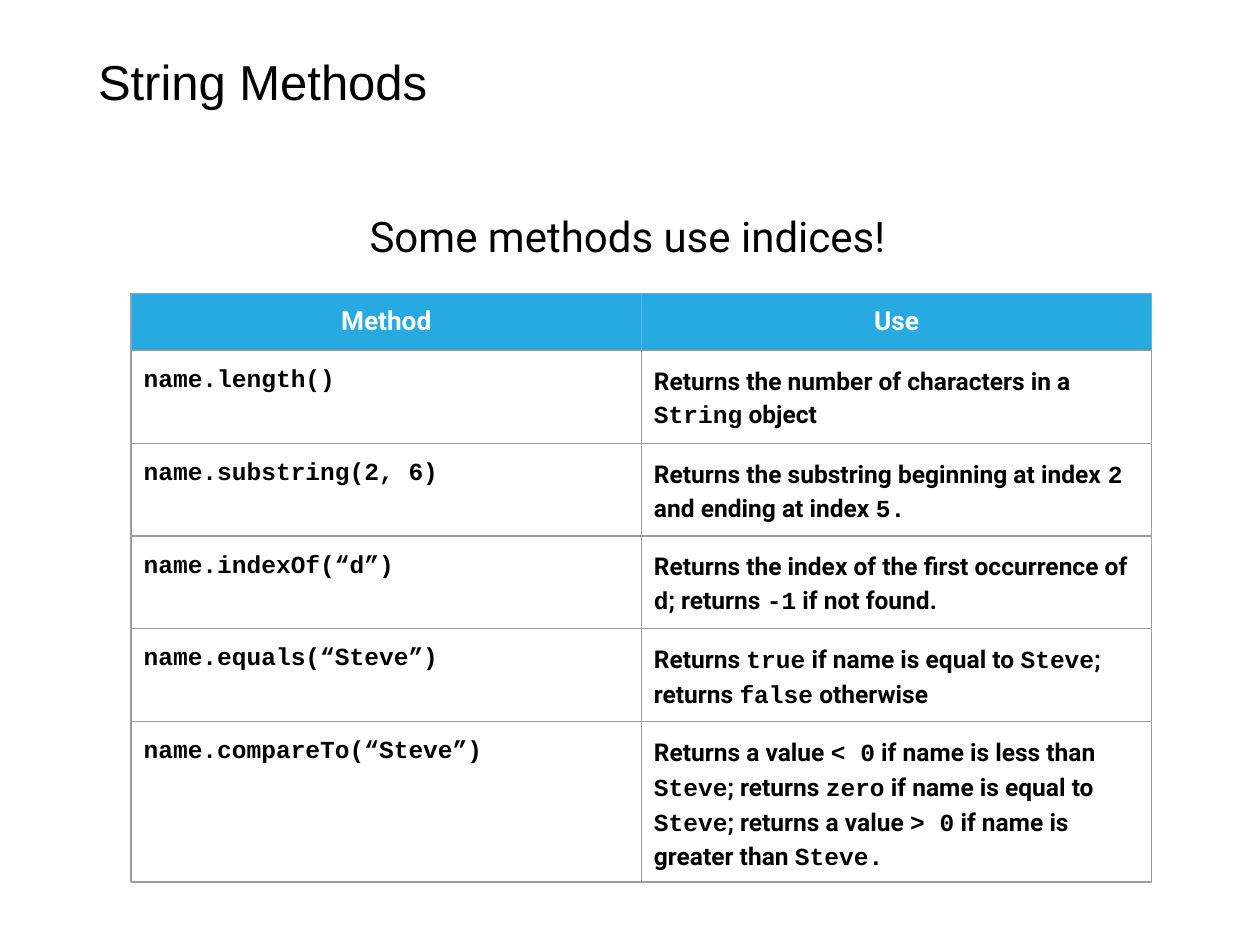
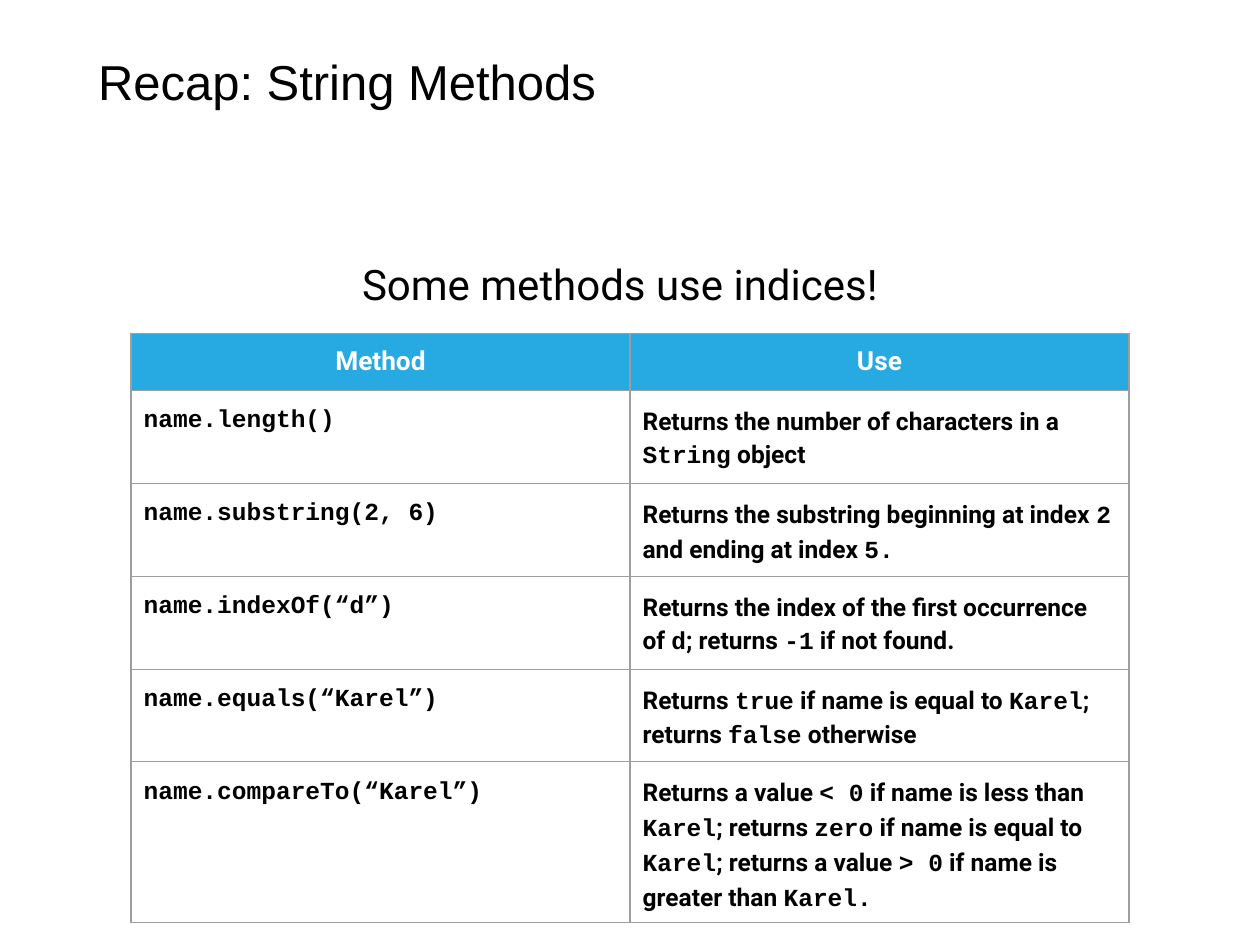
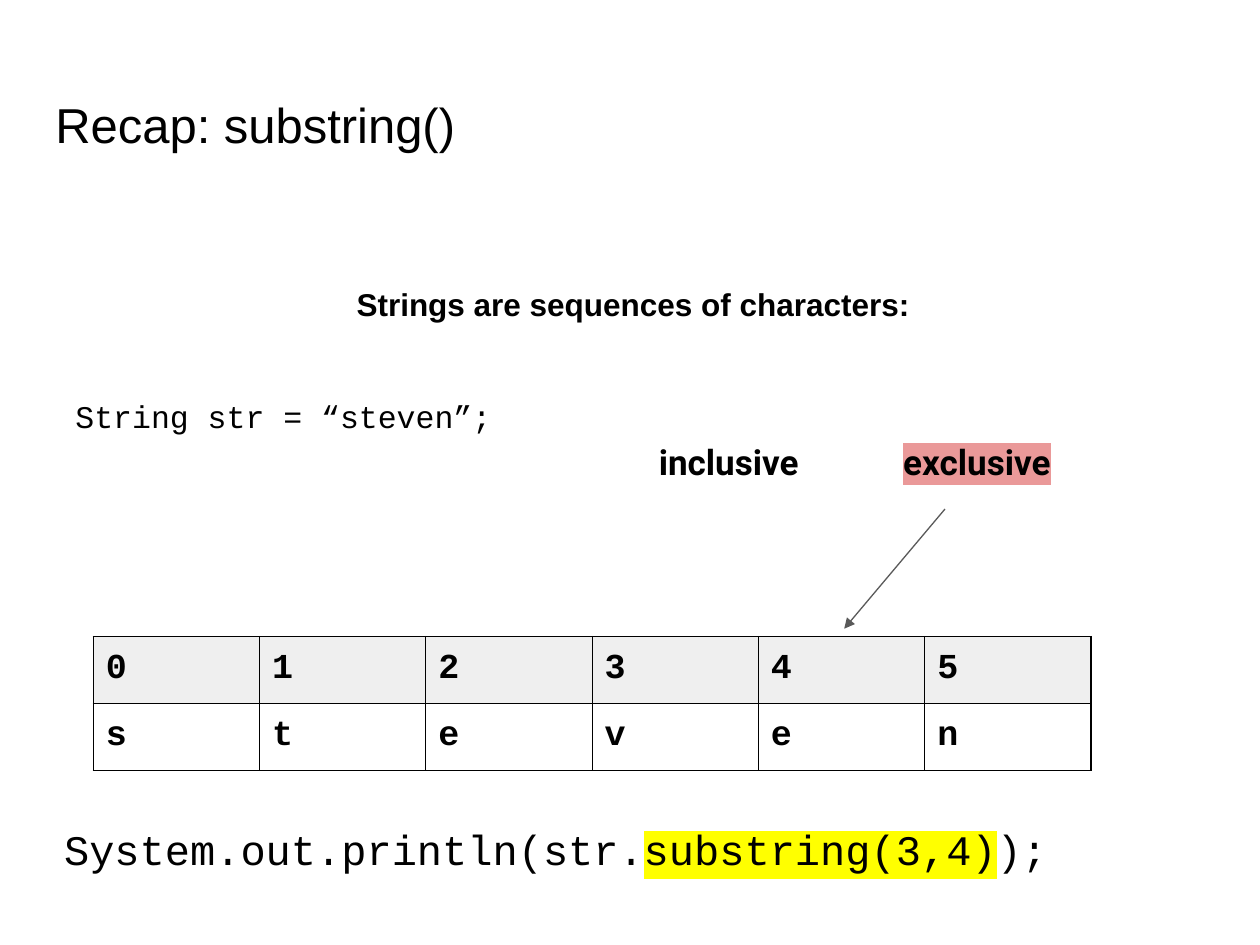
from dataclasses import dataclass

from lxml.etree import SubElement
from pptx import Presentation
from pptx.dml.color import RGBColor
from pptx.enum.shapes import MSO_CONNECTOR as Connector
from pptx.enum.text import MSO_ANCHOR as Anchor, PP_ALIGN as Align
from pptx.oxml.ns import qn
from pptx.util import Pt


@dataclass(frozen=True)
class Theme:
    black: str = "000000"
    white: str = "FFFFFF"
    header: str = "27A9E1"
    index: str = "EFEFEF"
    border: str = "9E9E9E"
    arrow: str = "595959"
    yellow: str = "FFFF00"
    pink: str = "EA9999"
    sans: str = "Arial"
    label: str = "Roboto"
    code: str = "Courier New"
    title_size: int = 28
    large: int = 24
    medium: int = 20
    body: int = 18
    head: int = 15
    cell: int = 14
    leading: float = 1.15
    hairline: float = 0.75


theme = Theme()
presentation = Presentation()
presentation.slide_width, presentation.slide_height = Pt(720), Pt(540)
blank = presentation.slide_layouts[6]
# The slide is a grid of 100 columns by 75 rows
UNIT = presentation.slide_width // 100
INSET = UNIT


def write(frame, text, font, size, color=theme.black, bold=False, align=Align.LEFT,
          leading=None, mark=None, new=False):
    """Write one paragraph; `backticks` set code, [brackets] get the mark colour."""
    frame.word_wrap = True
    frame.margin_left = frame.margin_right = frame.margin_top = frame.margin_bottom = INSET
    paragraph = frame.add_paragraph() if new else frame.paragraphs[0]
    paragraph.alignment, paragraph.line_spacing = align, leading
    paragraph.font.size, paragraph.font.bold = Pt(size), bold
    paragraph.font.color.rgb = RGBColor.from_string(color)
    if "`" not in text:
        paragraph.font.name = font
    parts = text.replace("[", "|").replace("]", "|").split("|") if mark else text.split("`")
    for number, part in enumerate(parts):
        if not part:
            continue
        run = paragraph.add_run()
        run.text = part
        if mark and number % 2:
            highlight = SubElement(run.font._element, qn("a:highlight"))
            SubElement(highlight, qn("a:srgbClr"), val=mark)
        elif "`" in text:
            run.font.name = theme.code if number % 2 else font
    return paragraph


def add_grid(slide, left, top, column_width, row_heights, rows, head_fill, border):
    """Add a bordered table and yield each cell with its row, column and text."""
    table = slide.shapes.add_table(
        len(rows), len(rows[0]), round(left * UNIT), round(top * UNIT),
        round(column_width * len(rows[0]) * UNIT), round(sum(row_heights) * UNIT)).table
    table.first_row = table.horz_banding = False
    for column in table.columns:
        column.width = round(column_width * UNIT)
    for row, height in zip(table.rows, row_heights):
        row.height = round(height * UNIT)
    for r, texts in enumerate(rows):
        for c, text in enumerate(texts):
            cell = table.cell(r, c)
            cell.margin_left = cell.margin_right = INSET
            cell.margin_top = cell.margin_bottom = INSET
            properties = cell._tc.get_or_add_tcPr()
            for side in ("a:lnL", "a:lnR", "a:lnT", "a:lnB"):
                line = SubElement(properties, qn(side), w=str(Pt(theme.hairline)))
                fill = SubElement(line, qn("a:solidFill"))
                SubElement(fill, qn("a:srgbClr"), val=border)
            if r == 0:
                cell.fill.solid()
                cell.fill.fore_color.rgb = RGBColor.from_string(head_fill)
            else:
                cell.fill.background()
            yield cell, r, c, text


# Slides and their titles
slides = []
for title, left, top, height in (
        ("String Methods", 6.8, 3.1, 6.3),
        ("Recap: String Methods", 6.8, 3.1, 6.3),
        ("Recap: substring()", 3.4, 6.5, 8.3)):
    slide = presentation.slides.add_slide(blank)
    box = slide.shapes.add_textbox(*(round(n * UNIT) for n in (left, top, 93.2, height)))
    write(box.text_frame, title, theme.sans, theme.title_size)
    slides.append(slide)

# Slides 1 and 2: the table of methods, with a different name in each
methods = [
    ("Method", "Use"),
    ("name.length()", "Returns the number of characters in a `String` object"),
    ("name.substring(2, 6)",
     "Returns the substring beginning at index `2` and ending at index `5.`"),
    ("name.indexOf(“d”)",
     "Returns the index of the first occurrence of `d`; returns `-1` if not found."),
    ("name.equals(“{name}”)",
     "Returns `true` if name is equal to `{name}`; returns `false` otherwise"),
    ("name.compareTo(“{name}”)",
     "Returns a value `< 0` if name is less than `{name}`; returns `zero` if name is equal "
     "to `{name}`; returns a value `> 0` if name is greater than `{name}.`"),
]
method_heights = [4.2, 6.2, 4.2, 4.2, 4.2, 4.2]
for slide, name, table_top, column_width, lead_left, lead_top in (
        (slides[0], "Steve", 23.3, 40.5, 4, 15.1),
        (slides[1], "Karel", 26.5, 39.6, 3.4, 18.9)):
    for cell, r, c, text in add_grid(slide, 10.4, table_top, column_width, method_heights,
                                     methods, theme.header, theme.border):
        if r == 0:
            write(cell.text_frame, text, theme.label, theme.head, theme.white, True, Align.CENTER)
        else:
            write(cell.text_frame, text.format(name=name), theme.label if c else theme.code,
                  theme.cell, bold=True, leading=theme.leading)
    lead = slide.shapes.add_textbox(*(round(n * UNIT) for n in (lead_left, lead_top, 93.2, 14.4)))
    write(lead.text_frame, "Some methods use indices!", theme.label, theme.large,
          align=Align.CENTER, leading=theme.leading)
    lead.text_frame.margin_right = round(2.6 * UNIT)

# Slide 3: the string and its declaration
slide = slides[2]
body = slide.shapes.add_textbox(*(round(n * UNIT) for n in (5, 21.2, 90.5, 49.9)))
write(body.text_frame, "Strings are sequences of characters:", theme.sans, theme.body,
      bold=True, align=Align.CENTER, leading=theme.leading)
declaration = write(body.text_frame, "String str = “steven”;", theme.code, theme.body,
                    leading=theme.leading, new=True)
declaration.space_before = Pt(39)

# Index and letter of each character
letters = "steven"
indices = [str(number) for number in range(len(letters))]
for cell, r, c, text in add_grid(slide, 7.4, 50.5, 13.2, [4.2, 4.2], [indices, letters],
                                 theme.index, theme.black):
    cell.vertical_anchor = Anchor.TOP
    write(cell.text_frame, text, theme.code, theme.medium, bold=True)

# The call and the labels of its two bounds
for text, box, font, size, bold, leading, mark in (
        ("System.out.println(str.[substring(3,4)]);", (4.1, 63.8, 90.5, 43.7),
         theme.code, theme.large, False, theme.leading, theme.yellow),
        ("inclusive", (51.3, 34, 17.9, 8.3), theme.label, theme.medium, True, None, None),
        ("[exclusive]", (70.7, 34, 15, 8.3), theme.label, theme.medium, True, None, theme.pink)):
    shape = slide.shapes.add_textbox(*(round(n * UNIT) for n in box))
    write(shape.text_frame, text, font, size, bold=bold, leading=leading, mark=mark)

# Arrow from "exclusive" to index 4
arrow = slide.shapes.add_connector(
    Connector.STRAIGHT, *(round(n * UNIT) for n in (75, 40.4, 67, 49.9)))
arrow.line.color.rgb = RGBColor.from_string(theme.arrow)
arrow.line.width = Pt(theme.hairline)
SubElement(arrow.line._get_or_add_ln(), qn("a:tailEnd"), type="triangle")
SubElement(arrow._element.spPr, qn("a:effectLst"))

presentation.save("out.pptx")
